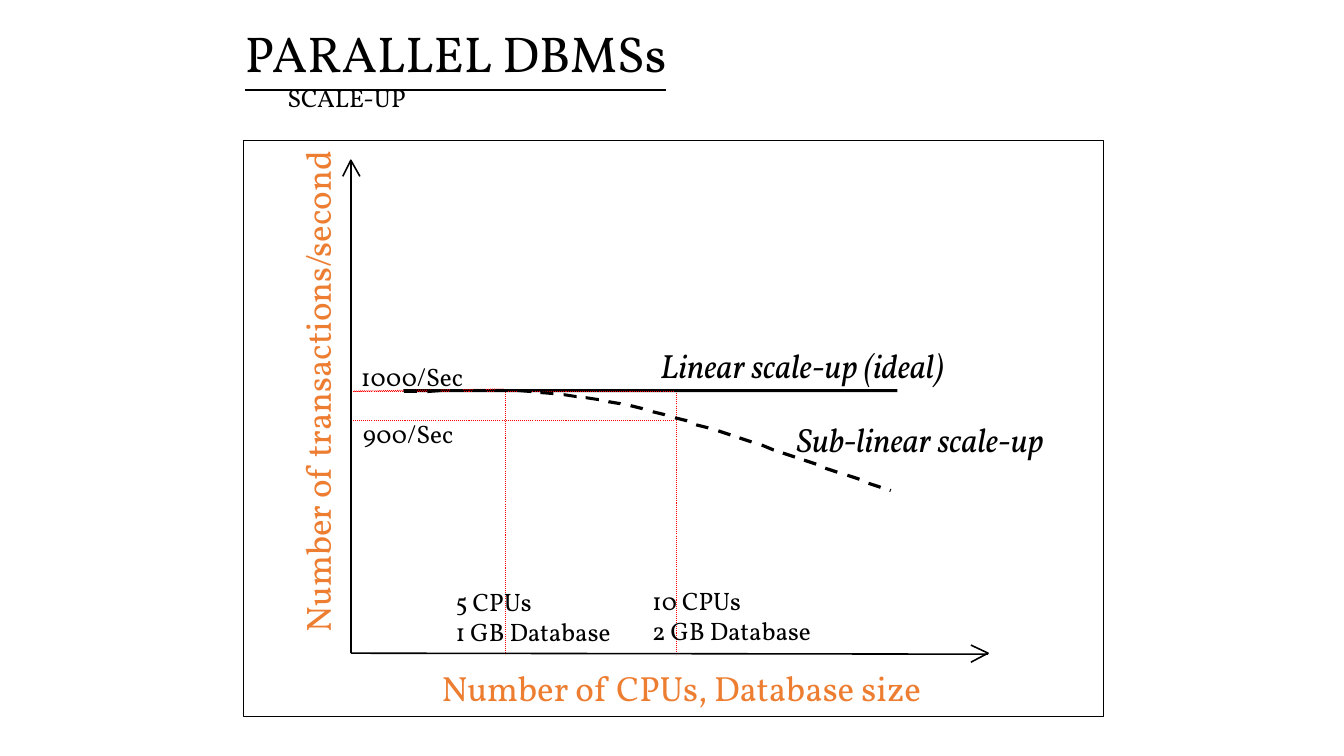
from pptx import Presentation
from pptx.dml.color import RGBColor
from pptx.enum.dml import MSO_LINE
from pptx.enum.shapes import MSO_CONNECTOR, MSO_SHAPE
from pptx.enum.text import MSO_ANCHOR, MSO_AUTO_SIZE, PP_ALIGN
from pptx.oxml.ns import qn
from pptx.util import Inches, Pt
from lxml.etree import SubElement

BLACK = RGBColor(0x00, 0x00, 0x00)
WHITE = RGBColor(0xFF, 0xFF, 0xFF)
RED = RGBColor(0xFF, 0x00, 0x00)
ORANGE = RGBColor(0xED, 0x7D, 0x31)

deck = Presentation()
deck.slide_width, deck.slide_height = Inches(13.33), Inches(7.5)
COLUMN = deck.slide_width / 13.33
ROW = deck.slide_height / 7.5
page = deck.slides.add_slide(deck.slide_layouts[1])


def place(*lengths):
    return [int(length * (ROW if index % 2 else COLUMN)) for index, length in enumerate(lengths)]


def write(box, lines, size, color=BLACK, inset=None, wrap=False, **style):
    frame = box.text_frame
    frame_format = {"word_wrap": wrap, "auto_size": MSO_AUTO_SIZE.NONE, "vertical_anchor": MSO_ANCHOR.TOP}
    if inset is not None:
        frame_format.update({f"margin_{side}": inset for side in ("left", "top", "right", "bottom")})
    for name, value in frame_format.items():
        setattr(frame, name, value)
    for index, line in enumerate(lines):
        para = frame.add_paragraph() if index else frame.paragraphs[0]
        for name, value in {"alignment": PP_ALIGN.LEFT, "space_before": Pt(0)}.items():
            setattr(para, name, value)
        span = para.add_run()
        span.text = line
        for name, value in {"name": "Vollkorn", "size": Pt(size), **style}.items():
            setattr(span.font, name, value)
        span.font.color.rgb = color


title, subtitle = page.placeholders
for box, spot in ((title, (2.33, 0.17, 8.93, 0.7)), (subtitle, (2.75, 0.77, 7.97, 0.57))):
    box.left, box.top, box.width, box.height = place(*spot)
write(title, ["PARALLEL DBMSs"], 36, wrap=True, underline=True)
write(subtitle, ["SCALE-UP"], 18, wrap=True)
bullet_format = subtitle.text_frame.paragraphs[0]._p.get_or_add_pPr()
bullet_format.set("marL", "0")
bullet_format.set("indent", "0")
SubElement(bullet_format, qn("a:buNone"))

rectangles = [
    ((2.42, 1.39, 8.53, 5.72), WHITE),
    ((4, 3.86, 4.9, 0.03), BLACK),
]
for spot, color in rectangles:
    box = page.shapes.add_shape(MSO_SHAPE.RECTANGLE, *place(*spot))
    box.shadow.inherit = False
    box.fill.solid()
    box.fill.fore_color.rgb = color
    if color == WHITE:
        box.line.color.rgb = BLACK
        box.line.width = Pt(0.75)
    else:
        box.line.fill.background()

GUIDE = {"color": RED, "width": Pt(0.75), "dash": MSO_LINE.ROUND_DOT}
AXIS = {"color": BLACK, "width": Pt(1.13), "dash": None}
lines = [
    ((6.71, 3.9, 6.71, 6.5), GUIDE),
    ((3.5, 3.88, 6.69, 3.88), GUIDE),
    ((3.51, 3.88, 5, 3.86), GUIDE),
    ((5.01, 3.89, 5.01, 6.49), GUIDE),
    ((3.5, 4.17, 6.69, 4.17), GUIDE),
    ((3.48, 1.59, 3.48, 6.48), AXIS),
    ((3.48, 6.48, 9.8, 6.49), AXIS),
]
for ends, look in lines:
    connector = page.shapes.add_connector(MSO_CONNECTOR.STRAIGHT, *place(*ends))
    connector.line.color.rgb = look["color"]
    connector.line.width = look["width"]
    if look["dash"]:
        connector.line.dash_style = look["dash"]
    SubElement(connector._element.spPr, qn("a:effectLst"))

dashes = [
    (4.01, 3.87, 3.87), (4.24, 3.87, 3.86), (4.46, 3.86, 3.86), (4.69, 3.86, 3.86),
    (4.91, 3.86, 3.86), (5.14, 3.86, 3.87), (5.36, 3.88, 3.89), (5.59, 3.9, 3.92),
    (5.81, 3.93, 3.95), (6.03, 3.97, 3.99), (6.25, 4.01, 4.04), (6.47, 4.07, 4.1),
    (6.69, 4.13, 4.16), (6.9, 4.2, 4.23), (7.12, 4.26, 4.3), (7.33, 4.33, 4.37),
    (7.55, 4.4, 4.45), (7.76, 4.48, 4.52), (7.97, 4.55, 4.59), (8.18, 4.63, 4.67),
    (8.4, 4.7, 4.74), (8.61, 4.78, 4.82), (8.82, 4.85, 4.85),
]
DASH_THICKNESS = 0.03
outlines = [
    ([(3.57, 1.75), (3.48, 1.59), (3.4, 1.75)], False),
    ([(9.63, 6.57), (9.8, 6.48), (9.63, 6.4)], False),
]
for left, start, end in dashes:
    right = left + (0.02 if left == dashes[-1][0] else 0.13)
    lean = 0.01 if left > 6 else 0
    outlines.append(([
        (left + lean, start), (left, start + DASH_THICKNESS),
        (right - lean, end + DASH_THICKNESS), (right, end),
    ], True))
for points, closed in outlines:
    corners = [place(*point) for point in points]
    builder = page.shapes.build_freeform(*corners[0])
    builder.add_line_segments(corners[1:], close=closed)
    outline = builder.convert_to_shape()
    outline.shadow.inherit = False
    if closed:
        outline.fill.solid()
        outline.fill.fore_color.rgb = BLACK
        outline.line.fill.background()
    else:
        outline.fill.background()
        outline.line.color.rgb = BLACK
        outline.line.width = AXIS["width"]

AXIS_LABEL = {"size": 25, "color": ORANGE, "inset": 0}
CURVE_LABEL = {"size": 24, "inset": 0, "italic": True}
VALUE_LABEL = {"size": 18}
labels = [
    ((4.38, 6.61, 4.72, 0.42), 0, ["Number of CPUs, Database size"], AXIS_LABEL),
    ((0.84, 3.76, 4.61, 0.42), 270, ["Number of transactions/second"], AXIS_LABEL),
    ((6.55, 3.42, 3.07, 0.4), 0, ["Linear scale-up (ideal)"], CURVE_LABEL),
    ((7.9, 4.16, 2.62, 0.4), 0, ["Sub-linear scale-up"], CURVE_LABEL),
    ((3.48, 3.54, 1.13, 0.4), 0, ["1000/Sec"], VALUE_LABEL),
    ((3.5, 4.1, 1.01, 0.4), 0, ["900/Sec"], VALUE_LABEL),
    ((4.42, 5.77, 1.8, 0.7), 0, ["5 CPUs", "1 GB Database"], VALUE_LABEL),
    ((6.37, 5.76, 1.8, 0.7), 0, ["10 CPUs", "2 GB Database"], VALUE_LABEL),
]
for spot, rotation, text, look in labels:
    box = page.shapes.add_textbox(*place(*spot))
    box.rotation = rotation
    write(box, text, **look)

deck.save("out.pptx")
